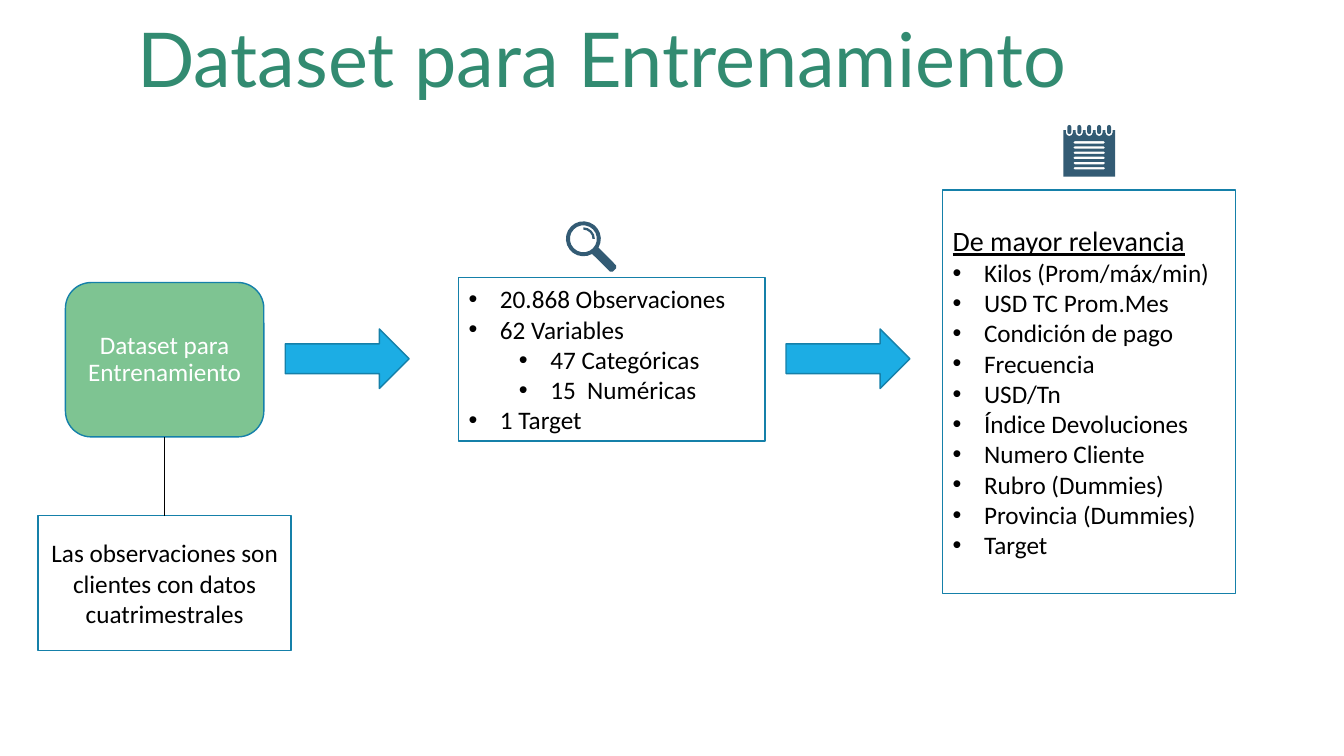
from dataclasses import dataclass
from math import cos, radians, sin

from lxml import etree
from pptx import Presentation
from pptx import util as u
from pptx.dml.color import RGBColor
from pptx.enum import shapes, text
from pptx.oxml import ns

Kind = shapes.MSO_SHAPE
Align = text.PP_ALIGN
Contour = list[tuple[float, float]]


@dataclass(frozen=True)
class Theme:
    title: str = "328B71"
    green: str = "7EC492"
    arrow: str = "1CADE4"
    outline: str = "1580A9"
    icon: str = "335B74"
    white: str = "FFFFFF"
    black: str = "000000"
    title_font: str = "Lato"
    body_font: str = "Calibri"
    title_size: int = 54
    heading_size: int = 20
    body_size: int = 18
    line_width: int = 1


THEME = Theme()


@dataclass(frozen=True)
class Line:
    words: str
    level: int | None = None
    size: int = THEME.body_size
    color: str = THEME.black
    font: str = THEME.body_font
    underline: bool = False
    align: Align = Align.LEFT
    spacing: float = 1.0


@dataclass(frozen=True)
class Block:
    kind: Kind
    left: float
    top: float
    width: float
    height: float
    fill: str = THEME.white
    lines: tuple[Line, ...] = ()


@dataclass(frozen=True)
class Icon:
    contours: list[Contour]
    rotation: float = 0


def bullets(*entries: str, level: int = 0) -> tuple[Line, ...]:
    return tuple(Line(entry, level) for entry in entries)


def add_bullet(para, level: int) -> None:
    para.level = level
    properties = para._p.get_or_add_pPr()
    properties.set("marL", str(u.Cm(0.79 + 1.27 * level)))
    properties.set("indent", str(-u.Cm(0.79)))
    etree.SubElement(properties, ns.qn("a:buFont"), typeface="Arial")
    etree.SubElement(properties, ns.qn("a:buChar"), char="•")


def write_lines(frame, lines: tuple[Line, ...]) -> None:
    for index, line in enumerate(lines):
        para = frame.paragraphs[0] if index == 0 else frame.add_paragraph()
        para.alignment = line.align
        para.line_spacing = line.spacing
        if line.level is not None:
            add_bullet(para, line.level)
        span = para.add_run()
        span.text = line.words
        span.font.name = line.font
        span.font.size = u.Pt(line.size)
        span.font.underline = line.underline
        span.font.color.rgb = RGBColor.from_string(line.color)


def paint(box, fill: str) -> None:
    box.shadow.inherit = False
    box.fill.solid()
    box.fill.fore_color.rgb = RGBColor.from_string(fill)


def draw_block(page, block: Block) -> None:
    box = page.shapes.add_shape(
        block.kind, u.Cm(block.left), u.Cm(block.top), u.Cm(block.width), u.Cm(block.height)
    )
    paint(box, block.fill)
    box.line.color.rgb = RGBColor.from_string(THEME.outline)
    box.line.width = u.Pt(THEME.line_width)
    box.text_frame.word_wrap = True
    box.text_frame.vertical_anchor = text.MSO_ANCHOR.MIDDLE
    write_lines(box.text_frame, block.lines)


def draw_icon(page, icon: Icon) -> None:
    outlines = [[(u.Cm(x), u.Cm(y)) for x, y in contour] for contour in icon.contours]
    builder = page.shapes.build_freeform(*outlines[0][0])
    for index, outline in enumerate(outlines):
        if index:
            builder.move_to(*outline[0])
        builder.add_line_segments(outline[1:], close=True)
    box = builder.convert_to_shape()
    paint(box, THEME.icon)
    box.line.fill.background()
    box.rotation = icon.rotation


def draw_title(page, line: Line) -> None:
    box = page.shapes.add_textbox(u.Cm(3.21), u.Cm(0.18), u.Cm(24.56), u.Cm(2.57))
    box.text_frame.word_wrap = False
    write_lines(box.text_frame, (line,))


def draw_link(page, x: float, top: float, bottom: float) -> None:
    link = page.shapes.add_connector(
        shapes.MSO_CONNECTOR.STRAIGHT, u.Cm(x), u.Cm(top), u.Cm(x), u.Cm(bottom)
    )
    link.line.color.rgb = RGBColor.from_string(THEME.black)
    link.line.width = u.Pt(THEME.line_width)
    etree.SubElement(link._element.spPr, ns.qn("a:effectLst"))


def arc(x: float, y: float, radius: float, start: float, end: float, steps: int = 4) -> Contour:
    angles = [radians(start + (end - start) * step / steps) for step in range(steps + 1)]
    return [(x + radius * cos(angle), y + radius * sin(angle)) for angle in angles]


def magnifier() -> Icon:
    x, y = 14.94, 5.92
    body = arc(x, y, 0.44, 105, 435, 20) + [
        (x + 0.11, y + 1.06), (x + 0.06, y + 1.11), (x - 0.06, y + 1.11), (x - 0.11, y + 1.06),
    ]
    lens = arc(x, y, 0.34, 0, 342, 19)
    glint = arc(x, y, 0.29, -45, 45) + arc(x, y, 0.23, 45, -45)
    return Icon([body, lens, glint], 315)


def notepad() -> Icon:
    left, right, top, bottom = 26.8, 28.1, 3.28, 4.45
    centers = [26.95 + 0.25 * ring for ring in range(5)]
    sheet = [(left, top)]
    for x in centers:
        sheet += [(x - 0.09, top), *arc(x, 3.34, 0.09, 180, 0), (x + 0.09, top)]
    sheet += [(right, top), (right, bottom), (left, bottom)]
    rings = [arc(x, 3.2, 0.05, 180, 360) + arc(x, 3.33, 0.05, 0, 180) for x in centers]
    rules = [
        arc(27.08, y, 0.03, 90, 270, 2) + arc(27.82, y, 0.03, -90, 90, 2)
        for y in (3.59 + 0.13 * row for row in range(6))
    ]
    return Icon([sheet, *rings, *rules])


BLOCKS = [
    Block(Kind.ROUNDED_RECTANGLE, 1.65, 7.12, 5, 3.89, THEME.green, (
        Line("Dataset para Entrenamiento", color=THEME.white, align=Align.CENTER, spacing=0.9),
    )),
    *(Block(Kind.RIGHT_ARROW, left, 8.29, 3.12, 1.5, THEME.arrow) for left in (7.19, 19.81)),
    Block(Kind.RECTANGLE, 11.56, 7, 7.72, 4.11, lines=(
        *bullets("20.868 Observaciones", "62 Variables"),
        *bullets("47 Categóricas", "15  Numéricas", level=1),
        *bullets("1 Target"),
    )),
    Block(Kind.RECTANGLE, 23.76, 4.79, 7.37, 10.16, lines=(
        Line("De mayor relevancia", size=THEME.heading_size, underline=True),
        *bullets(
            "Kilos (Prom/máx/min)", "USD TC Prom.Mes", "Condición de pago", "Frecuencia",
            "USD/Tn", "Índice Devoluciones", "Numero Cliente", "Rubro (Dummies)",
            "Provincia (Dummies)", "Target",
        ),
    )),
    Block(Kind.RECTANGLE, 0.96, 12.99, 6.38, 3.4, lines=(
        Line("Las observaciones son clientes con datos cuatrimestrales", align=Align.CENTER),
    )),
]


def main() -> None:
    deck = Presentation()
    deck.slide_width, deck.slide_height = u.Cm(33.87), u.Cm(19.05)
    page = deck.slides.add_slide(deck.slide_layouts[6])
    draw_title(page, Line("Dataset para Entrenamiento", size=THEME.title_size,
                          color=THEME.title, font=THEME.title_font))
    for block in BLOCKS:
        draw_block(page, block)
    draw_link(page, 4.15, 11.01, 12.99)
    for icon in (magnifier(), notepad()):
        draw_icon(page, icon)
    deck.save("out.pptx")


if __name__ == "__main__":
    main()
